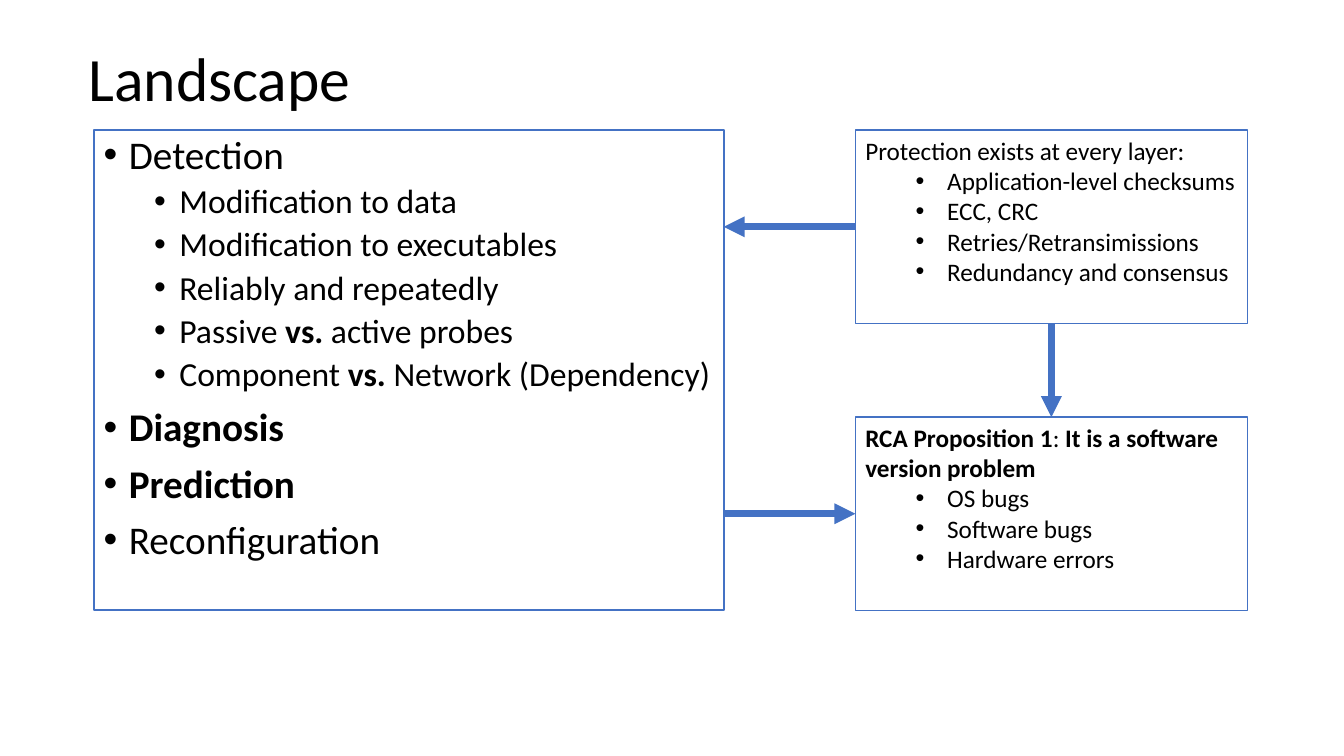
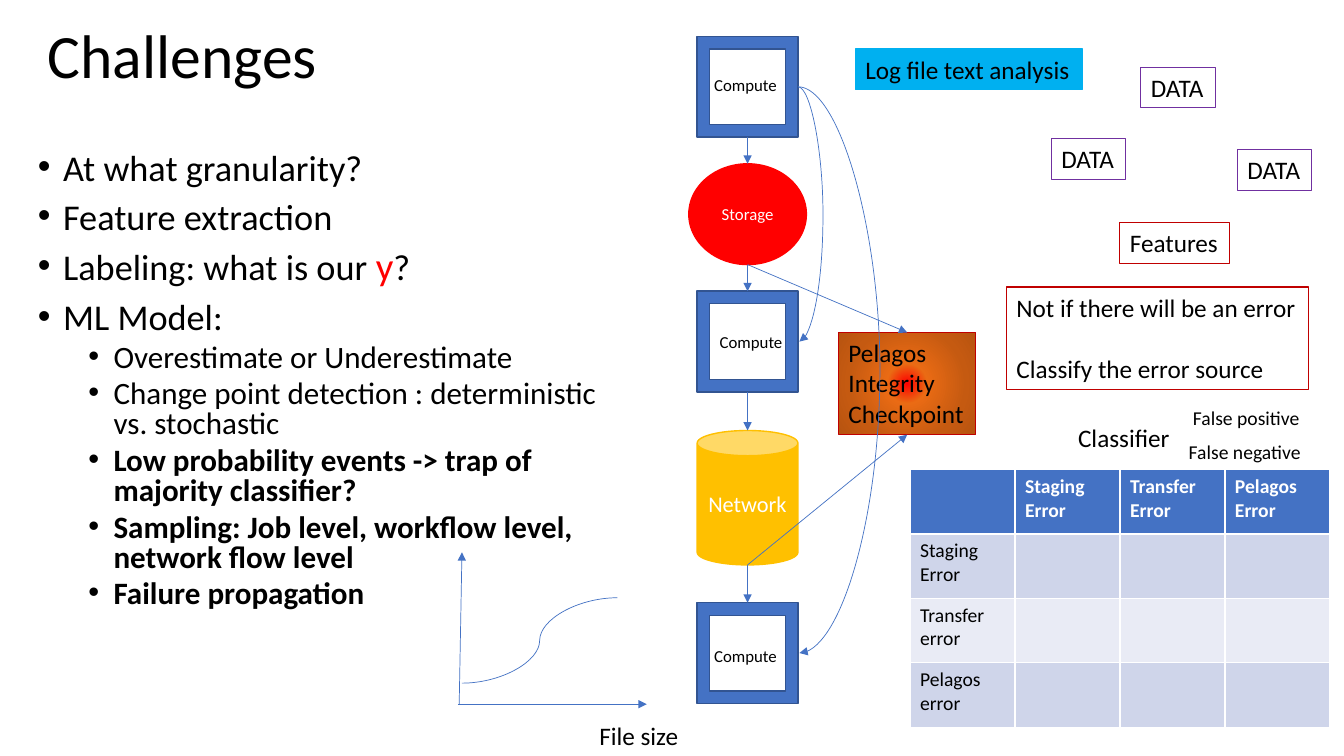
import collections
import itertools

import lxml.etree
import pptx
import pptx.dml.color
import pptx.enum.shapes
import pptx.enum.text
import pptx.oxml
import pptx.oxml.ns
import pptx.util

Pt = pptx.util.Pt
RGB = pptx.dml.color.RGBColor
Kind = pptx.enum.shapes.MSO_SHAPE
Wire = pptx.enum.shapes.MSO_CONNECTOR
Anchor = pptx.enum.text.MSO_ANCHOR
qn = pptx.oxml.ns.qn

FONT = "Calibri"
BLACK = RGB(0x00, 0x00, 0x00)
WHITE = RGB(0xFF, 0xFF, 0xFF)
BLUE = RGB(0x44, 0x72, 0xC4)
NAVY = RGB(0x32, 0x54, 0x91)
SKY = RGB(0x00, 0xB0, 0xF0)
RED = RGB(0xFF, 0x00, 0x00)
BRICK = RGB(0xC0, 0x00, 0x00)
GOLD = RGB(0xFF, 0xC0, 0x00)
PLUM = RGB(0x70, 0x30, 0xA0)
BANDS = RGB(0xCF, 0xD5, 0xEA), RGB(0xE9, 0xEB, 0xF5)
GLOW = ((0, "FF0000"), (23, "EA6B14"), (69, "C55A11"), (98, "B85410"))

# Text style of one outline level; a hang above zero gives a bullet.
Level = collections.namedtuple("Level", "size left hang before", defaults=(0, 0, 0))
LARGE = Level(28, 18, 18, 10), Level(24, 54, 18, 5)
SMALL = Level(25.9, 18, 18, 10), Level(22.2, 54, 18, 5)
CARD = Level(18), Level(18, 58.5, 22.5)


def points(*nums):
    """Turn numbers into lengths in points."""
    return [Pt(num) for num in nums]


def child(node, tag, **attrs):
    """Append an XML child with the given attributes."""
    return lxml.etree.SubElement(node, qn(tag), attrs)


def paint(shape, fill=None, line=None, width=0.75):
    """Set the fill and outline of a shape."""
    if fill is None:
        shape.fill.background()
    else:
        shape.fill.solid()
        shape.fill.fore_color.rgb = fill
    if line is None:
        shape.line.fill.background()
    else:
        shape.line.color.rgb = line
        shape.line.width = Pt(width)


def style(para, size, color=BLACK, bold=False):
    """Set the font of a paragraph."""
    font = para.font
    font.name, font.size, font.bold = FONT, Pt(size), bold
    font.color.rgb = color


def stress(run, bold):
    """Give a marked run the other weight."""
    run.font.bold = not bold


def tint(run, bold):
    """Give a marked run a larger red font."""
    run.font.size = Pt(27.8)
    run.font.color.rgb = RED


def write(frame, lines, levels, color=BLACK, space=1.0, mark=stress):
    """Write (level, text, bold) lines; text between stars is marked."""
    for num, (depth, text, bold) in enumerate(lines):
        para = frame.add_paragraph() if num else frame.paragraphs[0]
        level = levels[depth]
        para.level = depth
        if level.hang:
            props = para._p.get_or_add_pPr()
            props.set("marL", str(Pt(level.left)))
            props.set("indent", str(-Pt(level.hang)))
            child(props, "a:buFont", typeface="Arial")
            child(props, "a:buChar", char="•")
        para.line_spacing = space
        para.space_before = Pt(level.before)
        style(para, level.size, color, bold)
        for place, part in enumerate(text.split("*")):
            run = para.add_run()
            run.text = part
            if place % 2:
                mark(run, bold)


def panel(slide, box, lines, levels, fill=None, line=None, width=0.75, **rest):
    """Place a wrapped text box and return it."""
    shape = slide.shapes.add_textbox(*points(*box))
    paint(shape, fill, line, width)
    shape.text_frame.word_wrap = True
    write(shape.text_frame, lines, levels, **rest)
    return shape


def label(slide, box, text, size=18, **rest):
    """Place a text box that fits its lines without wrapping."""
    lines = [(0, row, False) for row in text.split("\n")]
    shape = panel(slide, box, lines, [Level(size)], **rest)
    shape.text_frame.word_wrap = False
    shape.text_frame.auto_size = pptx.enum.text.MSO_AUTO_SIZE.SHAPE_TO_FIT_TEXT
    return shape


def title(slide, box, text):
    """Place the slide title."""
    shape = panel(slide, box, [(0, text, False)], [Level(44)], space=0.9)
    shape.text_frame.vertical_anchor = Anchor.MIDDLE


def link(slide, start, end, width=0.5, kind=Wire.STRAIGHT, arrow=True, bulge=None):
    """Draw a connector; a bulge is a share of its width."""
    wire = slide.shapes.add_connector(kind, *points(*start, *end))
    wire.line.color.rgb = BLUE
    wire.line.width = Pt(width)
    props = wire.element.spPr
    if arrow:
        child(props.find(qn("a:ln")), "a:tailEnd", type="triangle")
    if bulge:
        guides = props.find(qn("a:prstGeom")).find(qn("a:avLst"))
        child(guides, "a:gd", name="adj1", fmla=f"val {bulge * 100000}")
    child(props, "a:effectLst")


def node(slide, kind, box, fill, line, text="", size=12):
    """Place a filled shape with centred white text."""
    shape = slide.shapes.add_shape(kind, *points(*box))
    shape.shadow.inherit = False
    paint(shape, fill, line, 1)
    if text:
        shape.text_frame.vertical_anchor = Anchor.MIDDLE
        write(shape.text_frame, [(0, text, False)], [Level(size)], WHITE)
        shape.text_frame.paragraphs[0].alignment = pptx.enum.text.PP_ALIGN.CENTER


def glow(shape):
    """Fill a shape with a gradient that runs out from its centre."""
    grad = lxml.etree.Element(qn("a:gradFill"), rotWithShape="1")
    stops = child(grad, "a:gsLst")
    for share, color in GLOW:
        stop = child(stops, "a:gs", pos=str(share * 1000))
        child(stop, "a:srgbClr", val=color)
    way = child(grad, "a:path", path="circle")
    child(way, "a:fillToRect", l="50000", t="50000", r="50000", b="50000")
    props = shape.element.spPr
    props.replace(props.find(qn("a:noFill")), grad)


def landscape(slide, left, top, width, height):
    """Build the landscape slide: a topic list linked to two cards."""
    title(slide, (left - 11, 6, 828, 104), "Landscape")
    topics = [
        (0, "Detection", False),
        (1, "Modification to data", False),
        (1, "Modification to executables", False),
        (1, "Reliably and repeatedly", False),
        (1, "Passive *vs.* active probes", False),
        (1, "Component *vs. *Network (Dependency)", False),
        (0, "Diagnosis", True),
        (0, "Prediction", True),
        (0, "Reconfiguration", False),
    ]
    list_w, card_w, card_h = 450, 280, 138
    panel(slide, (left, top, list_w, height), topics, LARGE,
          line=BLUE, width=1.25, space=0.9)
    cards = [
        [(0, "Protection exists at every layer:", False),
         (1, "Application-level checksums", False),
         (1, "ECC, CRC", False),
         (1, "Retries/Retransimissions", False),
         (1, "Redundancy and consensus", False)],
        [(0, "RCA Proposition 1*: *It is a software version problem", True),
         (1, "OS bugs", False),
         (1, "Software bugs", False),
         (1, "Hardware errors", False)],
    ]
    card_x, low = left + width - card_w, top + height - card_h
    for y, lines in zip((top, low), cards):
        panel(slide, (card_x, y, card_w, card_h), lines, CARD, line=BLUE, width=1)
    edge, mid = left + list_w, card_x + card_w / 2
    upper, lower = top + card_h / 2, low + card_h / 2
    link(slide, (card_x, upper), (edge, upper), 5)
    link(slide, (edge, lower), (card_x, lower), 5)
    link(slide, (mid, top + card_h), (mid, low), 5)


def points_list(slide, box):
    """Place the list of challenges."""
    lines = [
        (0, "At what granularity?", False),
        (0, "Feature extraction", False),
        (0, "Labeling: what is our *y*?", False),
        (0, "ML Model:", False),
        (1, "Overestimate or Underestimate", False),
        (1, "Change point detection : deterministic vs. stochastic", False),
        (1, "Low probability events -> trap of majority classifier?", True),
        (1, "Sampling: Job level, workflow level, network flow level", True),
        (1, "Failure propagation", True),
    ]
    panel(slide, box, lines, SMALL, space=0.8, mark=tint)


def flow(slide, left, top):
    """Build the column of stages and its links to the checkpoint."""
    side, mid = 72, left + 36
    tops = [top + drop for drop in (0, 91, 182, 281.5, 404.5)]
    ends = [y + tall for y, tall in zip(tops, (side, side, side, 96, side))]
    for y, shift, drop in ((tops[0], 5, 24), (tops[2], 9, 25.5), (tops[4], 5, 27)):
        node(slide, Kind.FRAME, (left, y, side, side), BLUE, NAVY)
        panel(slide, (left + shift, y + drop, 65, 22),
              [(0, "Compute", False)], [Level(12)])
    node(slide, Kind.OVAL, (mid - 42, tops[1], 84, side), RED, RED, "Storage")
    node(slide, Kind.CAN, (left, tops[3], side, 96), GOLD, GOLD, "Network", 16)
    for end, start in zip(ends, itertools.islice(tops, 1, None)):
        link(slide, (mid, end), (mid, start))

    x, y, wide, tall = left + 101, top + 211.5, 98, 73
    check = label(slide, (x, y, wide, tall), "Pelagos\nIntegrity\nCheckpoint", line=BRICK)
    glow(check)
    link(slide, (mid, ends[1]), (x + wide / 2, y))
    link(slide, (mid, ends[3]), (x + wide / 2, y + tall))
    edge = left + side
    for stage, bulge in ((2, 18), (4, 59)):
        link(slide, (edge, top + 36), (edge + 1, tops[stage] + 36),
             kind=Wire.CURVE, bulge=bulge)


def tags(slide, left, top):
    """Place the labels about logs, data, features and classes."""
    label(slide, (left, top, 162, 29), "Log file text analysis", fill=SKY, line=SKY)
    for x, y in ((204, 13), (140, 64), (273, 72)):
        label(slide, (left + x, top + y, 53, 29), "DATA", fill=WHITE, line=PLUM)
    label(slide, (left + 189, top + 124, 78, 29), "Features", line=BRICK)
    aim = label(slide, (left + 108, top + 170, 216, 73),
                "Not if there will be an error\nClassify the error source", line=BRICK)
    aim.text_frame.paragraphs[1].space_before = Pt(22)
    label(slide, (left + 152, top + 263, 81, 29), "Classifier")
    label(slide, (left + 234, top + 251.5, 91, 24), "False positive", 14)
    label(slide, (left + 231, top + 276, 96, 24), "False negative", 14)


def matrix(slide, box):
    """Place the empty table of error classes."""
    heads = ["", "Staging Error", "Transfer Error", "Pelagos Error"]
    sides = ["", "Staging Error", "Transfer error", "Pelagos error"]
    table = slide.shapes.add_table(4, 4, *points(*box)).table
    for row, col in itertools.product(range(4), repeat=2):
        cell = table.cell(row, col)
        cell.fill.solid()
        cell.fill.fore_color.rgb = BANDS[(row - 1) % 2] if row else BLUE
        text = sides[row] if row and not col else "" if row else heads[col]
        para = cell.text_frame.paragraphs[0]
        style(para, 14, BLACK if row else WHITE, not row)
        if text:
            para.add_run().text = text


def graph(slide, left, base):
    """Sketch the curve over file size."""
    link(slide, (left, base), (left + 135, base))
    link(slide, (left + 1, base), (left + 3, base - 108.5))
    link(slide, (left + 3, base - 15), (left + 114, base - 76),
         kind=Wire.CURVE, arrow=False)
    label(slide, (left + 94, base + 8, 71, 29), "File size")


def challenges(slide):
    """Build the challenges slide."""
    title(slide, (27, 9, 828, 66), "Challenges")
    points_list(slide, (20, 106, 423, 343))
    flow(slide, 498, 26)
    tags(slide, 611, 35)
    matrix(slide, (650, 335.5, 300, 184))
    graph(slide, 327, 503)


deck = pptx.Presentation()
deck.slide_width, deck.slide_height = points(960, 540)
blank = deck.slide_layouts[6]
landscape(deck.slides.add_slide(blank), 67, 93, 824, 343)
challenges(deck.slides.add_slide(blank))
deck.save("out.pptx")
